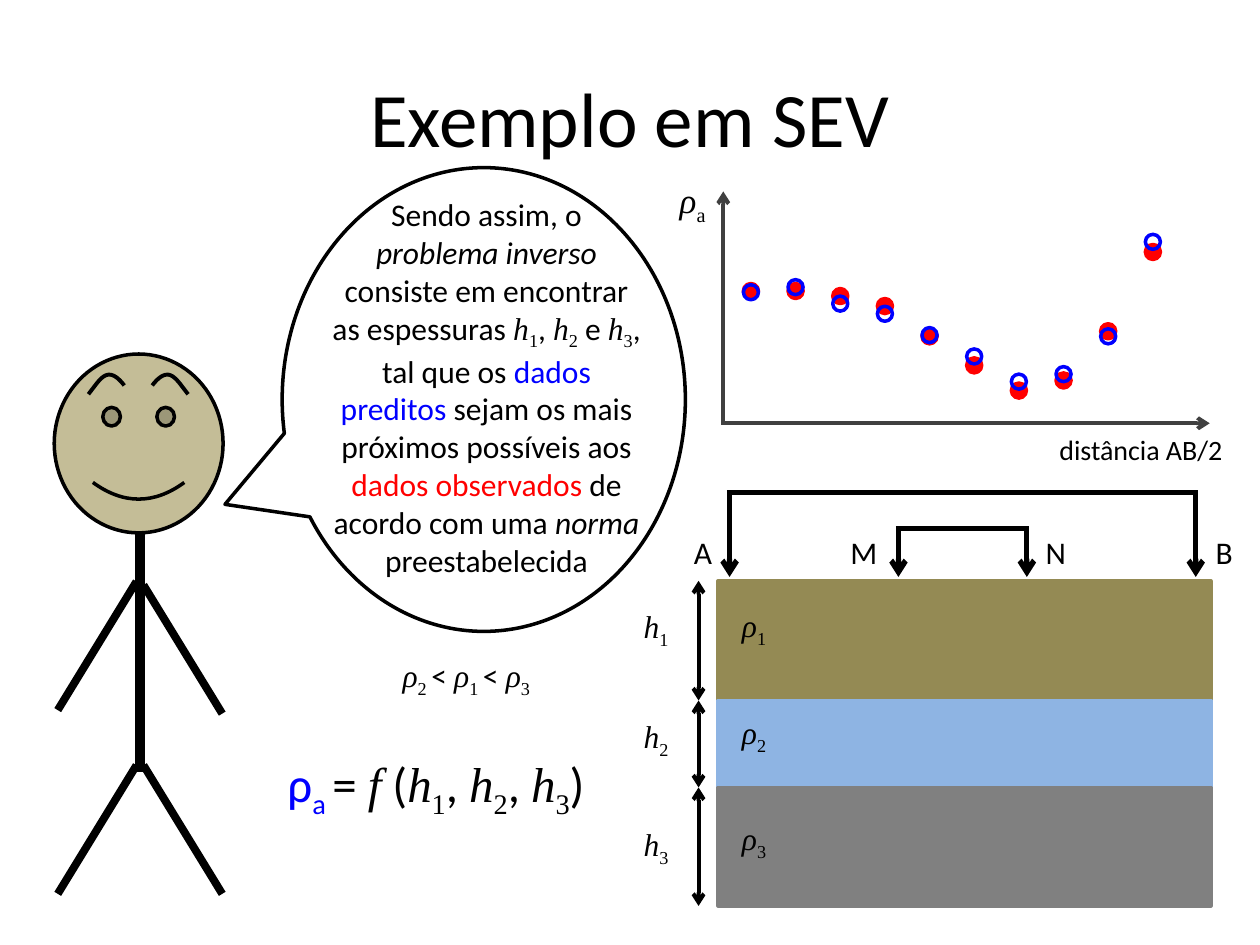
from lxml.etree import SubElement
from pptx import Presentation
from pptx.dml.color import RGBColor
from pptx.enum.shapes import MSO_CONNECTOR, MSO_SHAPE
from pptx.enum.text import MSO_ANCHOR, PP_ALIGN
from pptx.oxml.ns import qn
from pptx.util import Pt

BLACK = RGBColor(0x00, 0x00, 0x00)
AXIS = RGBColor(0x40, 0x40, 0x40)
BLUE = RGBColor(0x00, 0x00, 0xFF)
RED = RGBColor(0xFF, 0x00, 0x00)
SKIN = RGBColor(0xC4, 0xBD, 0x97)
SOIL = RGBColor(0x94, 0x8A, 0x54)
WATER = RGBColor(0x8E, 0xB4, 0xE3)
ROCK = RGBColor(0x80, 0x80, 0x80)
SANS, SERIF = "Calibri", "Times New Roman"

STYLES = {
    "plain": (SANS, False, False),
    "italic": (SANS, True, False),
    "plain sub": (SANS, False, True),
    "math": (SERIF, True, False),
    "math sub": (SERIF, False, True),
}


def plain(text, color=BLACK):
    return [(text, "plain", color)]


def italic(text):
    return [(text, "italic", BLACK)]


def symbol(letter, index):
    return [(letter, "math", BLACK), (index, "math sub", BLACK)]


def add_text(page, left, top, width, height, spans, size=18, align=PP_ALIGN.LEFT):
    box = page.shapes.add_textbox(Pt(left), Pt(top), Pt(width), Pt(height))
    box.text_frame.word_wrap = True
    para = box.text_frame.paragraphs[0]
    para.alignment = align
    para.font.size = Pt(size)
    for text, style, color in spans:
        span = para.add_run()
        span.text = text
        font_name, slanted, lowered = STYLES[style]
        span.font.name = font_name
        span.font.italic = slanted
        span.font.color.rgb = color
        if lowered:
            span.font._element.set("baseline", "-25000")


def add_line(page, start, end, weight, color=BLACK, head=False, tail=False):
    line = page.shapes.add_connector(
        MSO_CONNECTOR.STRAIGHT, Pt(start[0]), Pt(start[1]), Pt(end[0]), Pt(end[1]))
    line.line.color.rgb = color
    line.line.width = Pt(weight)
    outline = line.line._get_or_add_ln()
    for wanted, tag in ((head, "a:headEnd"), (tail, "a:tailEnd")):
        if wanted:
            SubElement(outline, qn(tag)).set("type", "arrow")
    SubElement(line._element.spPr, qn("a:effectLst"))


def paint(shape, fill, color, weight=2):
    shape.shadow.inherit = False
    if fill is None:
        shape.fill.background()
    else:
        shape.fill.solid()
        shape.fill.fore_color.rgb = fill
    shape.line.color.rgb = color
    shape.line.width = Pt(weight)


def add_preset(page, kind, left, top, width, height, fill, color):
    shape = page.shapes.add_shape(kind, Pt(left), Pt(top), Pt(width), Pt(height))
    paint(shape, fill, color)
    return shape


def cubic(points, steps=12):
    for step in range(1, steps + 1):
        t = step / steps
        weights = ((1 - t) ** 3, 3 * t * (1 - t) ** 2, 3 * t * t * (1 - t), t ** 3)
        yield tuple(sum(w * p[axis] for w, p in zip(weights, points)) for axis in (0, 1))


def add_eyebrow(page, left, top, side):
    curve = [(0, 0), (3, -4), (6.5, -7), (10, -6), (13.5, -5), (16.5, 0), (20.5, 5)]
    dots = list(cubic(curve[:4])) + list(cubic(curve[3:]))
    builder = page.shapes.build_freeform(Pt(left), Pt(top), scale=1.0)
    builder.add_line_segments(
        [(Pt(left + side * x), Pt(top + y)) for x, y in dots], close=False)
    paint(builder.convert_to_shape(), None, BLACK, 2.25)


def build_title(page, left, top, width, height):
    title = page.shapes.title
    title.left, title.top, title.width, title.height = map(Pt, (left, top, width, height))
    title.text_frame.text = "Exemplo em SEV"
    title.text_frame.vertical_anchor = MSO_ANCHOR.MIDDLE
    para = title.text_frame.paragraphs[0]
    para.alignment = PP_ALIGN.CENTER
    para.font.size, para.font.name = Pt(44), SANS
    para.font.color.rgb = BLACK


def build_person(page, left, top):
    middle = left + 49
    add_line(page, (middle, top + 97), (middle, top + 239), 6)
    for drop in (130, 235):
        for side in (-1, 1):
            skew = 2 if drop == 130 and side == 1 else 0
            add_line(page, (middle + side * 2, top + drop + skew),
                     (middle + side * 47, top + drop + skew + 73.5), 4.5)
    face = add_preset(page, MSO_SHAPE.SMILEY_FACE, left, top, 96.5, 102.2, SKIN, BLACK)
    face.adjustments[0] = 0.047
    for side in (-1, 1):
        add_eyebrow(page, left + 48 + side * 8, top + 18, side)


def build_balloon(page, left, top, width, height):
    balloon = add_preset(
        page, MSO_SHAPE.OVAL_CALLOUT, left, top, width, height, None, BLACK)
    balloon.adjustments[0], balloon.adjustments[1] = -0.642, 0.226
    spans = (
        plain("Sendo assim, o ") + italic("problema inverso")
        + plain(" consiste em encontrar as espessuras ")
        + symbol("h", "1") + plain(", ") + symbol("h", "2") + plain(" e ")
        + symbol("h", "3") + plain(", tal que os ") + plain("dados preditos", BLUE)
        + plain(" sejam os mais próximos possíveis aos ")
        + plain("dados observados ", RED) + plain("de acordo com uma ")
        + italic("norma") + plain(" preestabelecida"))
    add_text(page, left + 21, top + 12.2, 191.5, 225.4, spans, align=PP_ALIGN.CENTER)


def build_formulas(page, left, top):
    order = (symbol("ρ", "2 ") + plain("< ") + symbol("ρ", "1 ")
             + plain("< ") + symbol("ρ", "3"))
    add_text(page, left + 68.4, top, 96.5, 28.8, order, align=PP_ALIGN.CENTER)
    model = (plain("ρ", BLUE) + [("a ", "plain sub", BLUE)] + plain("= ")
             + [("f", "math", BLACK)] + plain(" (") + symbol("h", "1") + plain(", ")
             + symbol("h", "2") + plain(", ") + symbol("h", "3") + plain(")"))
    add_text(page, left, top + 55.5, 198.7, 41, model, 28, PP_ALIGN.CENTER)


def build_curve(page, left, top, width, height):
    add_line(page, (left, top + height + 0.7), (left, top), 2.25, AXIS, tail=True)
    add_line(page, (left, top + height), (left + width, top + height), 2.25, AXIS, tail=True)
    observed = (52.6, 52.6, 55.5, 61.2, 78.5, 95.1, 109.5, 103.7, 75.6, 30.3)
    predicted = (53.3, 50.4, 59.8, 65.6, 77.8, 90, 104.4, 100.1, 78.5, 24.5)
    for drops, fill, color in ((observed, RED, RED), (predicted, None, BLUE)):
        for index, drop in enumerate(drops):
            add_preset(page, MSO_SHAPE.OVAL, left + 11.5 + 25.52 * index, top + drop,
                       8.6, 8.6, fill, color)
    add_text(page, left - 33, top - 10.8, 31, 36.7, symbol("ρ", "a"), 20, PP_ALIGN.CENTER)
    add_text(page, left + 173.5, top + height + 2, 130.3, 26.6,
             plain("distância AB/2"), 16, PP_ALIGN.CENTER)


def build_ground(page, left, top, width):
    layers = ((SOIL, 68.4, 10.8, 11.5), (WATER, 49.7, 3.6, 5.8), (ROCK, 67.7, 14.4, 18))
    layer_top = top
    for number, (color, depth, rho_drop, h_drop) in enumerate(layers, 1):
        add_preset(page, MSO_SHAPE.RECTANGLE, left, layer_top, width, depth, color, color)
        add_line(page, (left - 11.2, layer_top), (left - 11.2, layer_top + depth),
                 2.25, head=True, tail=True)
        add_text(page, left + 6.5, layer_top + rho_drop, 45.4, 28.8, symbol("ρ", str(number)))
        add_text(page, left - 49.7, layer_top + h_drop, 33.8, 28.8, symbol("h", str(number)))
        layer_top += depth
    for first, last, rise in ((6.5, 272.9, 50.4), (103, 176.4, 30)):
        for x in (first, last):
            add_line(page, (left + x, top - rise), (left + x, top - 2.2), 3, tail=True)
        add_line(page, (left + first - 1.5, top - rise), (left + last + 1.5, top - rise), 3)
    for letter, x in (("A", -20.9), ("M", 68.4), ("N", 180), ("B", 277.2)):
        add_text(page, left + x, top - 31, 17.3, 28.8, plain(letter))


deck = Presentation()
deck.slide_width, deck.slide_height = Pt(720), Pt(540)
page = deck.slides.add_slide(deck.slide_layouts[5])
build_title(page, 36, 21.6, 648, 90)
build_person(page, 31, 202.3)
build_balloon(page, 161.3, 95.8, 230.4, 265)
build_formulas(page, 149.8, 371.5)
build_curve(page, 413.3, 109.4, 278, 132.5)
build_ground(page, 410.4, 331.9, 281.5)
deck.save("out.pptx")
